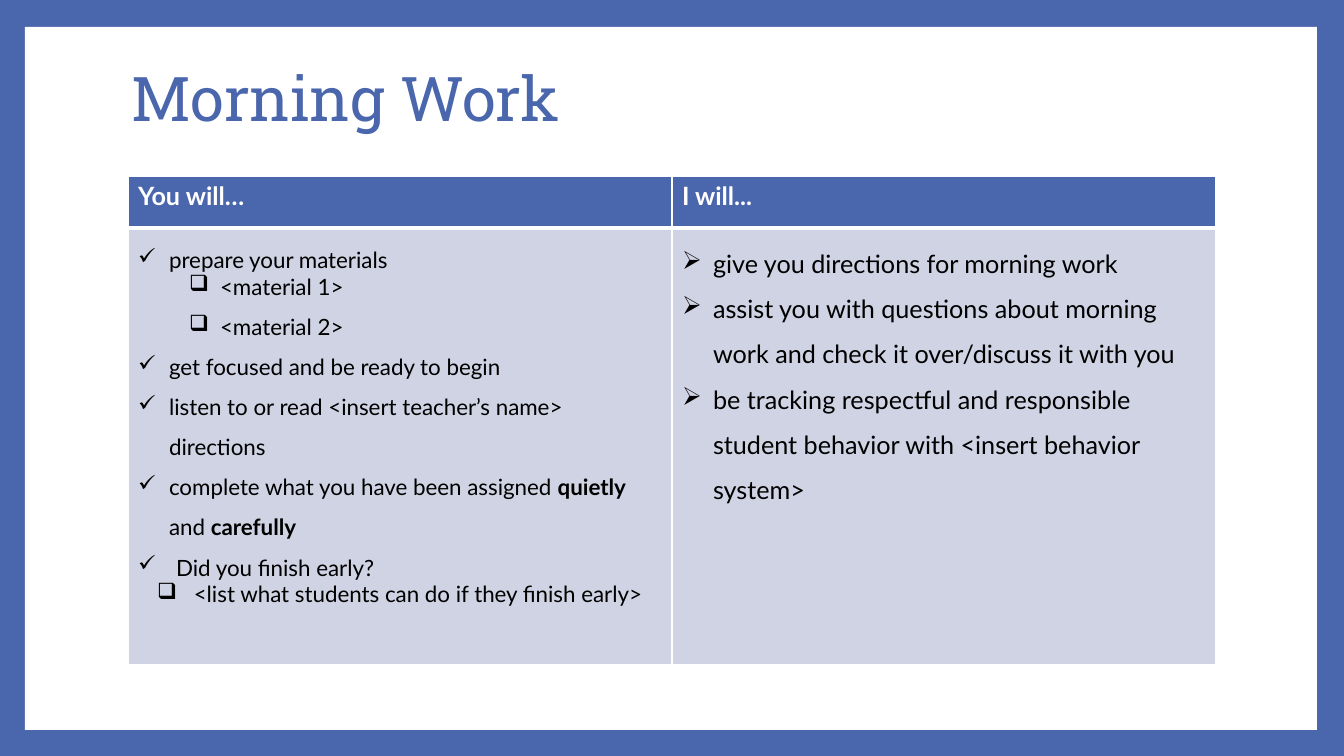
"""Build the Morning Work slide: a framed title above a two-column duties table."""
from lxml.etree import SubElement
from pptx import Presentation
from pptx.dml.color import RGBColor
from pptx.enum.shapes import MSO_SHAPE
from pptx.enum.text import MSO_ANCHOR, PP_ALIGN
from pptx.oxml.ns import qn
from pptx.util import Emu, Pt

COLORS = {"blue": "4A66AC", "white": "FFFFFF", "lavender": "D0D3E3", "black": "000000"}
TITLE = "Morning Work"
HEADERS = ["You will…", "I will..."]
STYLES = {
    "check": {"bullet": "✓", "level": 0, "left": 31, "hang": 31, "spacing": 1.5},
    "wide check": {"bullet": "✓", "level": 0, "left": 38, "hang": 38, "spacing": 1.5},
    "box": {"bullet": "❑", "level": 1, "left": 82, "hang": 31, "spacing": 1.0},
    "loose box": {"bullet": "❑", "level": 1, "left": 82, "hang": 31, "spacing": 1.5},
    "early box": {"bullet": "❑", "level": 1, "left": 50, "hang": 31, "spacing": 1.0},
    "arrow": {"bullet": "➢", "level": 0, "left": 31, "hang": 31, "spacing": 1.5},
}
STUDENT_DUTIES = [
    ("check", ["prepare your materials"]),
    ("box", ["<material 1>"]),
    ("loose box", ["<material 2>"]),
    ("check", ["get focused and be ready to begin"]),
    ("check", ["listen to or read <insert teacher’s name> directions"]),
    ("check", ["complete what you have been assigned ", "quietly", " and ", "carefully"]),
    ("wide check", ["Did you finish early?"]),
    ("early box", [" <list what students can do if they finish early>"]),
]
TEACHER_DUTIES = [
    ("arrow", ["give you directions for morning work"]),
    ("arrow", ["assist you with questions about morning work and check it over/discuss it with you"]),
    ("arrow", ["be tracking respectful and responsible student behavior with <insert behavior system>"]),
]
DUTIES = [(STUDENT_DUTIES, 16), (TEACHER_DUTIES, 18)]
BOLD_WORDS = {"quietly", "carefully"}
SLIDE_SIZE = (1344, 756)
PANEL_BOX = (25, 27, 1292, 703)
TITLE_BOX = (121, 27, 1089, 149)
TABLE_BOX = (128, 176, 1088, 489)
ROW_HEIGHTS = [52, 437]
PIXELS_PER_INCH = 100.8


def px(length):
    return Emu(round(length * 914400 / PIXELS_PER_INCH))


def color(name):
    return RGBColor.from_string(COLORS[name])


def format_run(run, font_name, size, color_name, bold=False):
    run.font.name = font_name
    run.font.size = Pt(size)
    run.font.bold = bold
    run.font.color.rgb = color(color_name)


def paint_cell(cell, fill_name, top, bottom):
    properties = cell._tc.get_or_add_tcPr()
    for side, width in zip("LRTB", (1, 1, top, bottom)):
        line = SubElement(properties, qn(f"a:ln{side}"), w=str(Pt(width)))
        SubElement(SubElement(line, qn("a:solidFill")), qn("a:srgbClr"), val=COLORS["white"])
    cell.fill.solid()
    cell.fill.fore_color.rgb = color(fill_name)


def write_duties(cell, duties, size):
    for index, (style_name, parts) in enumerate(duties):
        style = STYLES[style_name]
        frame = cell.text_frame
        paragraph = frame.add_paragraph() if index else frame.paragraphs[0]
        paragraph.level = style["level"]
        paragraph.line_spacing = style["spacing"]
        properties = paragraph._p.get_or_add_pPr()
        properties.set("marL", str(px(style["left"])))
        properties.set("indent", str(px(-style["hang"])))
        SubElement(properties, qn("a:buChar"), char=style["bullet"])
        for part in parts:
            run = paragraph.add_run()
            run.text = part
            format_run(run, "Lato", size, "black", part in BOLD_WORDS)


def add_panel(slide):
    panel = slide.shapes.add_shape(MSO_SHAPE.RECTANGLE, *map(px, PANEL_BOX))
    panel.shadow.inherit = False
    panel.fill.solid()
    panel.fill.fore_color.rgb = color("white")
    panel.line.fill.background()
    slide.shapes._spTree.insert(2, panel._element)


def add_title(slide):
    title = slide.shapes.title
    title.left, title.top, title.width, title.height = map(px, TITLE_BOX)
    frame = title.text_frame
    frame.text = TITLE
    frame.vertical_anchor = MSO_ANCHOR.MIDDLE
    paragraph = frame.paragraphs[0]
    paragraph.alignment = PP_ALIGN.LEFT
    paragraph.line_spacing = 0.9
    format_run(paragraph.runs[0], "Roboto Slab", 44, "blue")


def add_duties_table(slide):
    table = slide.shapes.add_table(len(ROW_HEIGHTS), len(HEADERS), *map(px, TABLE_BOX)).table
    for row, height in zip(table.rows, ROW_HEIGHTS):
        row.height = px(height)
    for column, (header, (duties, size)) in enumerate(zip(HEADERS, DUTIES)):
        header_cell, duties_cell = table.cell(0, column), table.cell(1, column)
        paint_cell(header_cell, "blue", top=1, bottom=3)
        header_cell.text_frame.text = header
        format_run(header_cell.text_frame.paragraphs[0].runs[0], "Lato", 18, "white", True)
        paint_cell(duties_cell, "lavender", top=3, bottom=1)
        write_duties(duties_cell, duties, size)


def main():
    presentation = Presentation()
    presentation.slide_width, presentation.slide_height = map(px, SLIDE_SIZE)
    slide = presentation.slides.add_slide(presentation.slide_layouts[5])
    slide.background.fill.solid()
    slide.background.fill.fore_color.rgb = color("blue")
    add_panel(slide)
    add_title(slide)
    add_duties_table(slide)
    presentation.save("out.pptx")


if __name__ == "__main__":
    main()
